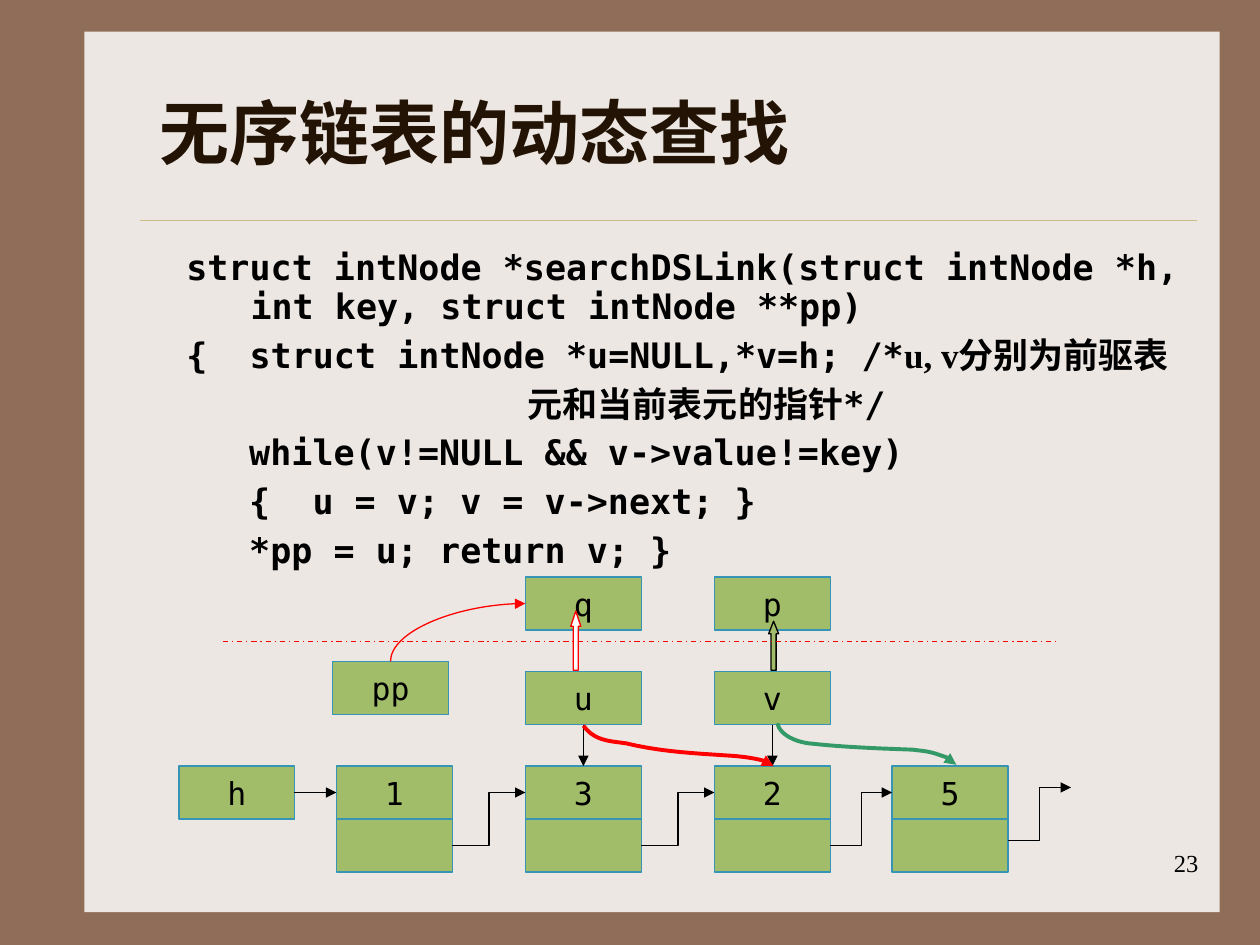
from lxml.etree import SubElement
from pptx import Presentation
from pptx.dml.color import RGBColor
from pptx.enum.dml import MSO_LINE
from pptx.enum.shapes import MSO_CONNECTOR, MSO_SHAPE
from pptx.enum.text import MSO_ANCHOR, PP_ALIGN
from pptx.oxml.ns import qn
from pptx.util import Inches, Pt

MONO, SERIF = "DejaVu Sans Mono", "Times New Roman"
BLACK, RED, GREEN = "000000", "FF0000", "339966"
BOX_FILL, BOX_LINE = "A1BD69", "3694B6"

# Content: code lines as (left margin, first-line indent, runs)
TITLE = "无序链表的动态查找"
PAGE_NUMBER = "23"
CODE = [
    (0.72, -0.51, [("struct intNode *searchDSLink(struct intNode *h, "
                    "int key, struct intNode **pp)", MONO)]),
    (0.72, -0.51, [("{  struct intNode *u=NULL,*v=h; /*", MONO),
                   ("u, v分别为前驱表", SERIF)]),
    (2.92, 0, [("元和当前表元的指针", SERIF), ("*/", MONO)]),
    (0.71, 0, [("while(v!=NULL && v->value!=key)", MONO)]),
    (0.71, 0, [("{  u = v; v = v->next; }", MONO)]),
    (0.71, 0, [("*pp = u; return v; }", MONO)]),
]

# Diagram: pointers as (name, left, top), list nodes as (value, left)
BOX_W, BOX_H, NODE_TOP = 0.92, 0.42, 6.08
POINTERS = [("u", 4.17, 5.33), ("v", 5.67, 5.33), ("pp", 2.64, 5.25),
            ("h", 1.42, NODE_TOP), ("q", 4.17, 4.58), ("p", 5.67, 4.58)]
NODES = [("1", 2.67), ("3", 4.17), ("2", 5.67), ("5", 7.08)]

# Moves of u and v to the next node: start, then Bezier control points
MOVES = [
    (RED, (4.63, 5.76), [
        ((4.72, 5.88), (4.83, 5.88), (4.97, 5.9)),
        ((5.26, 5.97), (5.54, 5.98), (5.83, 6)),
        ((5.93, 6.01), (6.01, 6.02), (6.1, 6.05)),
        ((6.11, 6.06), (6.14, 6.08), (6.14, 6.08))]),
    (GREEN, (6.17, 5.74), [
        ((6.19, 5.84), (6.33, 5.89), (6.42, 5.9)),
        ((6.69, 5.93), (6.96, 5.94), (7.24, 5.95)),
        ((7.32, 5.96), (7.35, 5.96), (7.42, 5.98)),
        ((7.45, 5.99), (7.51, 6.01), (7.51, 6.01)),
        ((7.53, 6.04), (7.57, 6.04), (7.59, 6.07))]),
]
# Copies out to q and p: left, top, height, head ratio, fill, line
COPIES = [(6.1, 4.93, 0.39, 1.258, BOX_FILL, BLACK),
          (4.53, 4.85, 0.47, 1.515, "FFFFFF", RED)]

prs = Presentation()
prs.slide_width, prs.slide_height = Inches(10), Inches(7.5)
slide = prs.slides.add_slide(prs.slide_layouts[6])
shapes = slide.shapes


def color(hex_value):
    return RGBColor.from_string(hex_value)


def add_run(paragraph, text, size, font=MONO, hex_value=BLACK, bold=False):
    run = paragraph.add_run()
    run.text = text
    run.font.size, run.font.name, run.font.bold = Pt(size), font, bold
    run.font.color.rgb = color(hex_value)


def add_text_frame(left, top, width, height, anchor=MSO_ANCHOR.TOP):
    frame = shapes.add_textbox(*map(Inches, (left, top, width, height))).text_frame
    frame.word_wrap, frame.vertical_anchor = True, anchor
    return frame


def add_block(kind, left, top, width, height, fill, line=None):
    block = shapes.add_shape(kind, *map(Inches, (left, top, width, height)))
    block.shadow.inherit = False
    block.fill.solid()
    block.fill.fore_color.rgb = color(fill)
    if line:
        block.line.color.rgb, block.line.width = color(line), Pt(0.75)
    else:
        block.line.fill.background()
    return block


def add_box(left, top, label=""):
    box = add_block(MSO_SHAPE.RECTANGLE, left, top, BOX_W, BOX_H, BOX_FILL, BOX_LINE)
    if label:
        frame = box.text_frame
        frame.word_wrap, frame.vertical_anchor = False, MSO_ANCHOR.MIDDLE
        frame.paragraphs[0].alignment = PP_ALIGN.CENTER
        add_run(frame.paragraphs[0], label, 18)


def add_arrowhead(shape, end="tailEnd"):
    SubElement(shape.line._get_or_add_ln(), qn("a:" + end), type="triangle")


def add_line(start, stop, hex_value=BLACK, kind=MSO_CONNECTOR.STRAIGHT,
             width=0.75, arrow="tailEnd"):
    line = shapes.add_connector(kind, *map(Inches, (*start, *stop)))
    line.line.color.rgb, line.line.width = color(hex_value), Pt(width)
    if arrow:
        add_arrowhead(line, arrow)
    SubElement(line._element.spPr, qn("a:effectLst"))
    return line


def bezier_points(start, curves, steps=10):
    for first, second, stop in curves:
        for step in range(1, steps + 1):
            t = step / steps
            yield tuple((1 - t) ** 3 * a + 3 * (1 - t) ** 2 * t * b
                        + 3 * (1 - t) * t ** 2 * c + t ** 3 * d
                        for a, b, c, d in zip(start, first, second, stop))
        start = stop


# Background panel and rule under the title
slide.background.fill.solid()
slide.background.fill.fore_color.rgb = color("906D58")
add_block(MSO_SHAPE.RECTANGLE, 0.67, 0.25, 9.01, 6.99, "EDE7E3")
add_line((1.11, 1.75), (9.5, 1.75), "CBBD83", width=0.25, arrow=None)

# Page number, title and code
number = add_text_frame(7.53, 6.68, 2.08, 0.5).paragraphs[0]
number.alignment = PP_ALIGN.RIGHT
add_run(number, PAGE_NUMBER, 14, SERIF)

title = add_text_frame(1.17, 0.42, 8.33, 1.25, MSO_ANCHOR.MIDDLE).paragraphs[0]
add_run(title, TITLE, 40, hex_value="221304", bold=True)

code = add_text_frame(1.17, 1.92, 8.33, 4.5)
for index, (margin, indent, runs) in enumerate(CODE):
    code_line = code.add_paragraph() if index else code.paragraphs[0]
    code_line.line_spacing, code_line.space_before = 0.95, Pt(5)
    properties = code_line._p.get_or_add_pPr()
    properties.set("marL", str(Inches(margin)))
    properties.set("indent", str(Inches(indent)))
    for text, font in runs:
        add_run(code_line, text, 20, font, bold=True)

# Pointer boxes and list nodes (value above, link below)
for name, left, top in POINTERS:
    add_box(left, top, name)
for value, left in NODES:
    add_box(left, NODE_TOP, value)
    add_box(left, NODE_TOP + BOX_H)

# Links from each node to the next; the last one leads on
value_y, link_y = NODE_TOP + BOX_H / 2, NODE_TOP + BOX_H * 1.5
lefts = [left for _, left in NODES]
add_line((2.33, value_y), (lefts[0], value_y))
for left, following in zip(lefts, lefts[1:]):
    add_line((left + BOX_W, link_y), (following, value_y), kind=MSO_CONNECTOR.ELBOW)
add_line((8, 6.67), (8.5, 6.25), kind=MSO_CONNECTOR.ELBOW)

# u and v point down at their nodes, then move on
for left in lefts[1:3]:
    center = left + BOX_W / 2
    add_line((center, 5.75), (center, NODE_TOP))
for hex_value, start, curves in MOVES:
    # Freeform points are whole numbers, so they are given in EMU
    builder = shapes.build_freeform(*map(Inches, start))
    builder.add_line_segments(
        [tuple(map(Inches, point)) for point in bezier_points(start, curves)],
        close=False)
    move = builder.convert_to_shape()
    move.shadow.inherit = False
    move.fill.background()
    move.line.color.rgb, move.line.width = color(hex_value), Pt(2.25)
    add_arrowhead(move)

# Boundary between caller and function, with the values handed back
for left, top, height, head, fill, line in COPIES:
    copy_arrow = add_block(MSO_SHAPE.UP_ARROW, left, top, 0.08, height, fill, line)
    copy_arrow.adjustments[1] = head
boundary = add_line((1.77, 5.09), (8.39, 5.09), RED, arrow=None)
boundary.line.dash_style = MSO_LINE.DASH_DOT
pp_curve = add_line((4.17, 4.79), (3.1, 5.25), RED, MSO_CONNECTOR.CURVE, arrow="headEnd")
pp_curve._element.spPr.find(qn("a:prstGeom")).set("prst", "curvedConnector2")

prs.save("out.pptx")
